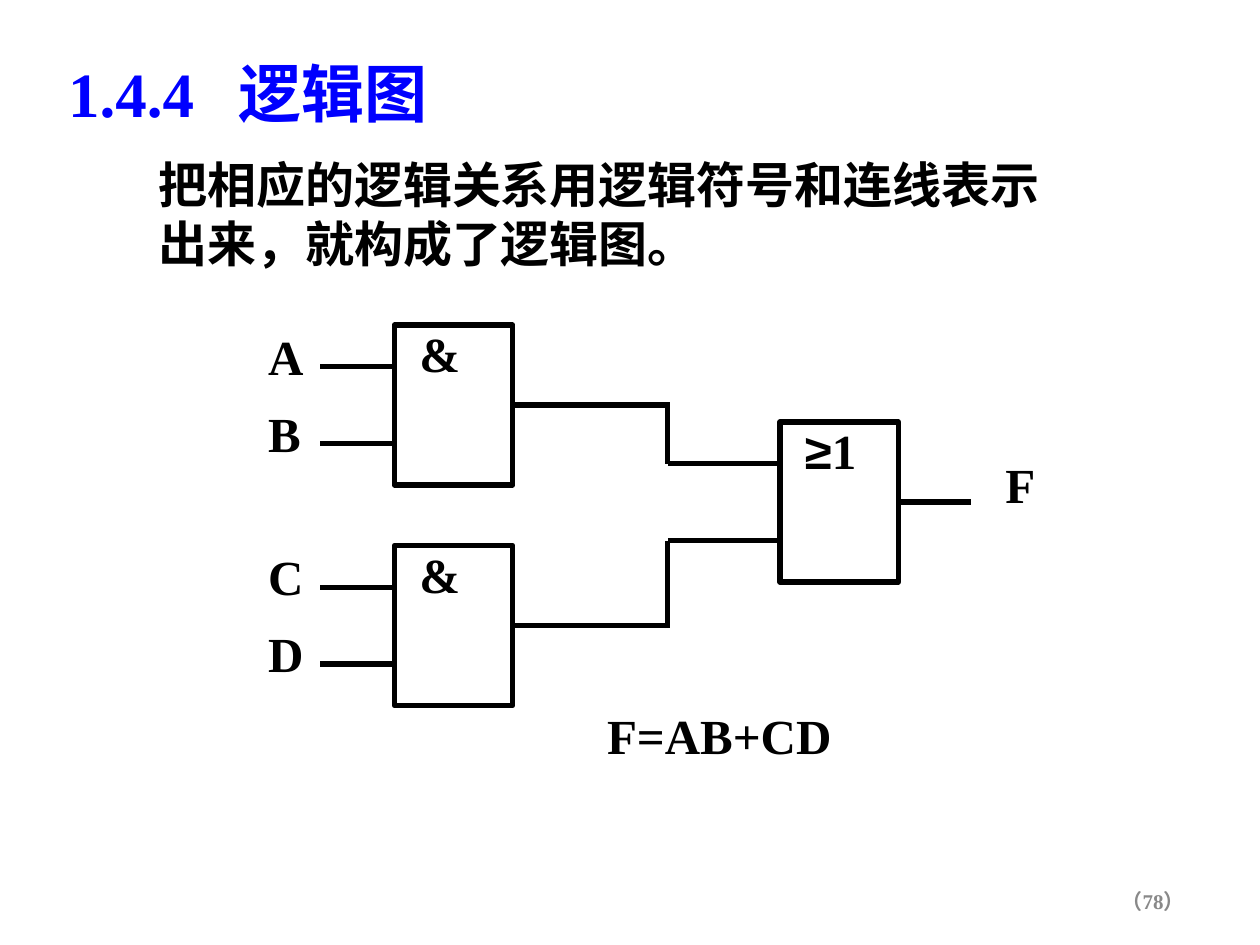
from dataclasses import dataclass

from lxml import etree
from pptx import Presentation
from pptx.dml.color import RGBColor
from pptx.enum.shapes import MSO_CONNECTOR, MSO_SHAPE
from pptx.enum.text import MSO_ANCHOR, MSO_AUTO_SIZE, PP_ALIGN
from pptx.oxml.ns import qn
from pptx.util import Inches, Pt

RECT = MSO_SHAPE.RECTANGLE
STRAIGHT = MSO_CONNECTOR.STRAIGHT
TOP, MIDDLE = MSO_ANCHOR.TOP, MSO_ANCHOR.MIDDLE
LEFT, RIGHT = PP_ALIGN.LEFT, PP_ALIGN.RIGHT
NO_FIT = MSO_AUTO_SIZE.NONE


@dataclass(frozen=True)
class Theme:
    ink: RGBColor = RGBColor(0x00, 0x00, 0x00)
    heading: RGBColor = RGBColor(0x00, 0x00, 0xFF)
    muted: RGBColor = RGBColor(0x89, 0x89, 0x89)
    font: str = "Times New Roman"
    symbol_font: str = "Arial"
    title_size: int = 36
    body_size: int = 28
    number_size: int = 12
    stroke: int = 3


def write(tf, *texts, size, color, font, fonts=None, align=LEFT, anchor=TOP, tab=None):
    tf.word_wrap = True
    tf.auto_size = NO_FIT
    tf.vertical_anchor = anchor
    p = tf.paragraphs[0]
    p.alignment = align
    if tab is not None:
        tabs = etree.SubElement(p._p.get_or_add_pPr(), qn("a:tabLst"))
        etree.SubElement(tabs, qn("a:tab"), pos=str(Inches(tab)), algn="l")
    for text, face in zip(texts, fonts or [font] * len(texts)):
        r = p.add_run()
        r.text = text
        r.font.name = face
        r.font.size = Pt(size)
        r.font.bold = True
        r.font.color.rgb = color


class LogicSlide:
    """Draws logic gates, wires and labels on one slide in one theme."""

    gate_w, gate_h = 0.94, 1.27
    input_offsets = (0.33, 0.94)
    lead = 0.59

    def __init__(self, prs, theme):
        self.theme = theme
        self.s = prs.slides.add_slide(prs.slide_layouts[5])

    def title(self, text, x, y, w, h, tab):
        sp = self.s.shapes.title
        sp.left, sp.top, sp.width, sp.height = map(Inches, (x, y, w, h))
        write(sp.text_frame, text, size=self.theme.title_size,
              color=self.theme.heading, font=self.theme.font, tab=tab)

    def text(self, x, y, w, h, *texts, **fmt):
        sp = self.s.shapes.add_textbox(*map(Inches, (x, y, w, h)))
        style = dict(size=self.theme.body_size, color=self.theme.ink, font=self.theme.font)
        write(sp.text_frame, *texts, **(style | fmt))

    def wire(self, x1, y1, x2, y2, source=None):
        line = self.s.shapes.add_connector(STRAIGHT, *map(Inches, (x1, y1, x2, y2)))
        line.line.color.rgb = self.theme.ink
        line.line.width = Pt(self.theme.stroke)
        etree.SubElement(line._element.spPr, qn("a:effectLst"))
        if source is not None:
            line.begin_connect(source, 3)

    def gate(self, x, y, out_x, *symbol, fonts=None, inputs=()):
        sp = self.s.shapes.add_shape(RECT, *map(Inches, (x, y, self.gate_w, self.gate_h)))
        sp.shadow.inherit = False
        sp.fill.background()
        sp.line.color.rgb = self.theme.ink
        sp.line.width = Pt(self.theme.stroke)
        self.text(x + 0.1, y - 0.06, 0.81, 0.57, *symbol, fonts=fonts)
        for offset in self.input_offsets:
            self.wire(x - self.lead, y + offset, x, y + offset)
        for name, offset in zip(inputs, self.input_offsets):
            self.text(x - 1.1, y + offset - 0.37, 0.5, 0.57, name)
        out_y = y + self.gate_h / 2
        self.wire(x + self.gate_w, out_y, out_x, out_y, source=sp)
        return out_y


def main():
    prs = Presentation()
    prs.slide_width, prs.slide_height = Inches(10), Inches(7.5)
    theme = Theme()
    slide = LogicSlide(prs, theme)

    slide.title("1.4.4\t逻辑图", 0.44, 0.38, 4.01, 0.7, tab=1.35)
    slide.text(1.16, 1.18, 7.4, 1.04, "把相应的逻辑关系用逻辑符号和连线表示出来，就构成了逻辑图。")

    and_x, or_x, or_y, bend_x = 3.13, 6.19, 3.35, 5.3
    overlap = 0.02
    and_gates = ((2.58, "AB", -overlap), (4.33, "CD", overlap))
    for (y, inputs, extra), offset in zip(and_gates, slide.input_offsets):
        out_y = slide.gate(and_x, y, bend_x + overlap, "&", inputs=inputs)
        slide.wire(bend_x, out_y + extra, bend_x, or_y + offset)
        slide.wire(bend_x, or_y + offset, or_x - slide.lead, or_y + offset)

    slide.gate(or_x, or_y, 7.71, "≥", "1", fonts=(theme.symbol_font, theme.font))
    slide.text(7.88, 3.56, 0.92, 0.57, "F")
    slide.text(4.72, 5.55, 2.67, 0.57, "F=AB+CD")
    slide.text(7.17, 6.95, 2.33, 0.4, "（78）", size=theme.number_size,
               color=theme.muted, align=RIGHT, anchor=MIDDLE)

    prs.save("out.pptx")


if __name__ == "__main__":
    main()
